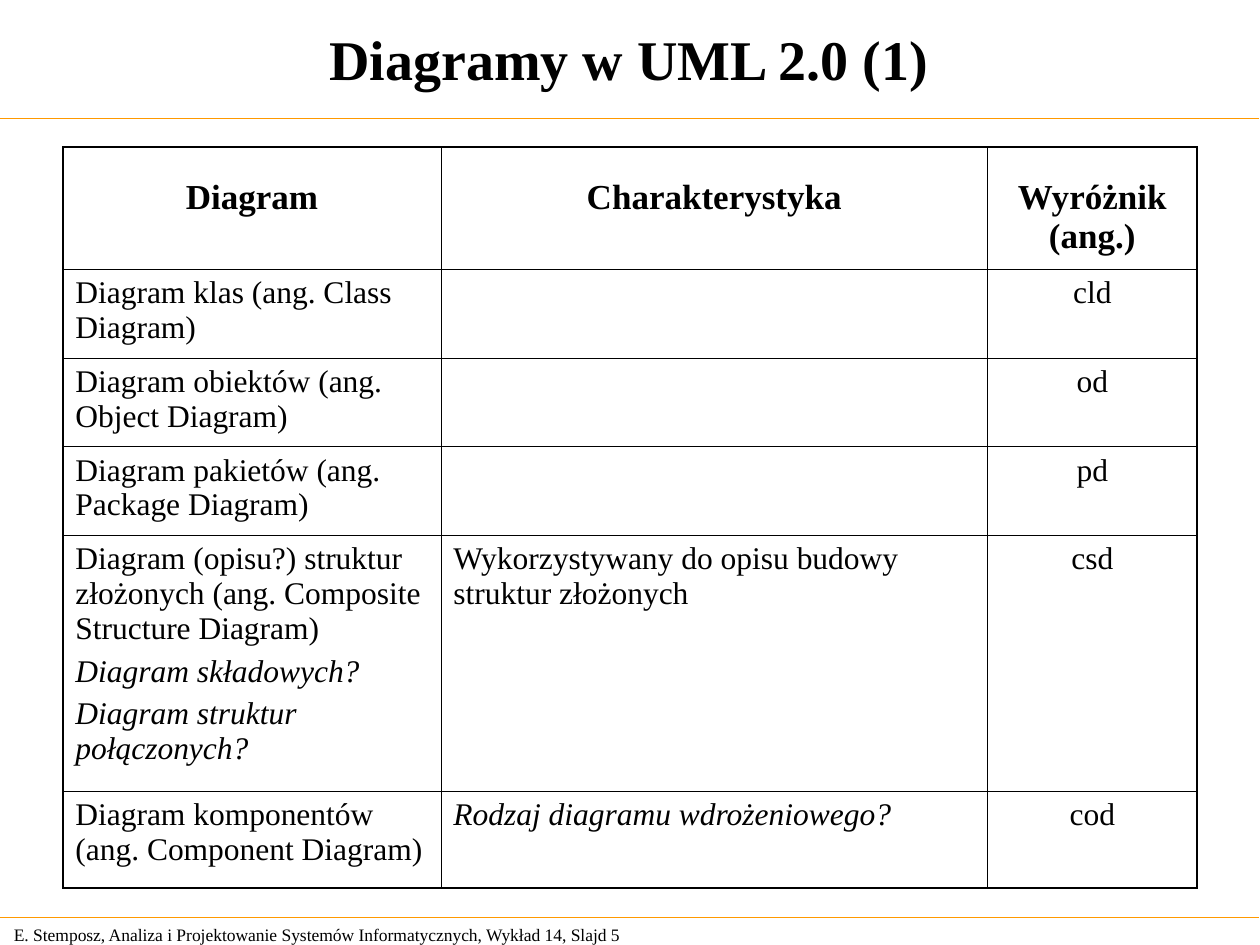
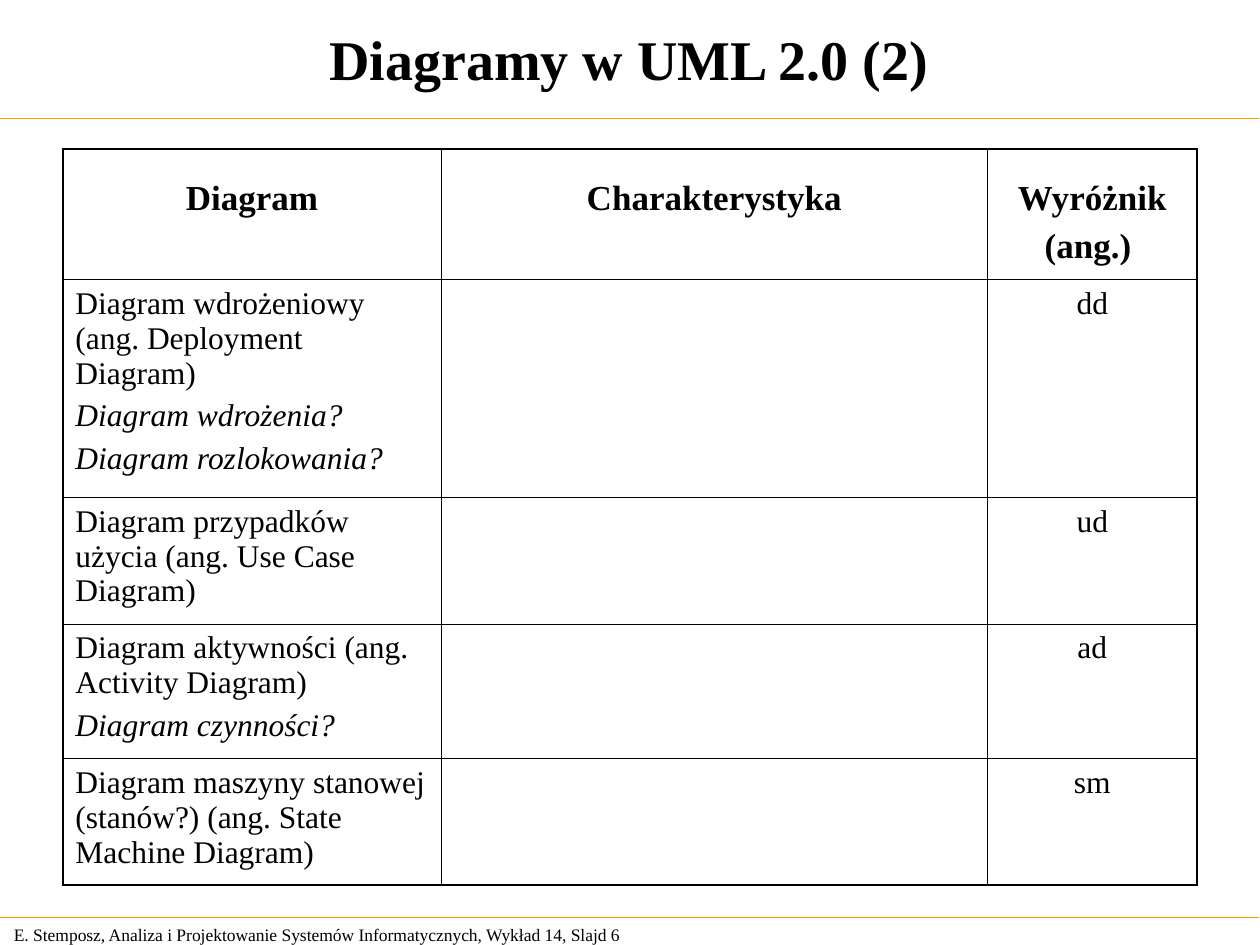
from lxml import etree
from pptx import Presentation
from pptx.dml.color import RGBColor
from pptx.enum.shapes import MSO_CONNECTOR
from pptx.enum.text import MSO_ANCHOR, PP_ALIGN
from pptx.oxml.ns import qn
from pptx.util import Cm, Pt

BLACK = RGBColor(0x00, 0x00, 0x00)
ORANGE = RGBColor(0xFF, 0x99, 0x00)
FONT = "Times New Roman"
LEFT, CENTER = PP_ALIGN.LEFT, PP_ALIGN.CENTER
MIDDLE = MSO_ANCHOR.MIDDLE
STRAIGHT = MSO_CONNECTOR.STRAIGHT

OUTER_BORDER, INNER_BORDER = Pt(1.08), Pt(0.45)
COLUMN_WIDTHS = [7.62, 11.02, 4.22]
COLUMN_ALIGNMENTS = [LEFT, LEFT, CENTER]
FOOTER = "E. Stemposz, Analiza i Projektowanie Systemów Informatycznych, Wykład 14, Slajd {}"

# Each slide: table top, row heights, rows of cells; a line break starts a paragraph
SLIDES = [
    (2.97, [2.46, 1.78, 1.78, 1.78, 5.16, 1.96], [
        ("Diagram", "Charakterystyka", "Wyróżnik (ang.)"),
        ("Diagram klas (ang. Class Diagram)", "", "cld"),
        ("Diagram obiektów (ang. Object Diagram)", "", "od"),
        ("Diagram pakietów (ang. Package Diagram)", "", "pd"),
        ("Diagram (opisu?) struktur złożonych (ang. Composite Structure Diagram)\n"
         "Diagram składowych?\nDiagram struktur połączonych?",
         "Wykorzystywany do opisu budowy struktur złożonych", "csd"),
        ("Diagram komponentów (ang. Component Diagram)",
         "Rodzaj diagramu wdrożeniowego?", "cod"),
    ]),
    (3.0, [2.64, 4.39, 2.54, 2.72, 2.54], [
        ("Diagram", "Charakterystyka", "Wyróżnik\n(ang.) "),
        ("Diagram wdrożeniowy (ang. Deployment Diagram)\n"
         "Diagram wdrożenia?\nDiagram rozlokowania?", "", "dd"),
        ("Diagram przypadków użycia (ang. Use Case Diagram)", "", "ud"),
        ("Diagram aktywności (ang. Activity Diagram)\nDiagram czynności?", "", "ad"),
        ("Diagram maszyny stanowej (stanów?) (ang. State Machine Diagram)", "", "sm"),
    ]),
]


def write_text(text_frame, text, size, alignment, bold=False, space_before=0):
    """Write one paragraph per line; lines ending with a question mark are italic."""
    text_frame.word_wrap = True
    text_frame.text = text
    for index, paragraph in enumerate(text_frame.paragraphs):
        paragraph.alignment = alignment
        paragraph.space_before = Pt(space_before if index else 0)
        font = paragraph.font
        font.name, font.size, font.bold = FONT, Pt(size), bold
        font.italic = paragraph.text.endswith("?")
        font.color.rgb = BLACK


def add_border(cell, side, width):
    line = etree.SubElement(cell._tc.get_or_add_tcPr(), qn(f"a:ln{side}"), w=str(width))
    fill = etree.SubElement(line, qn("a:solidFill"))
    etree.SubElement(fill, qn("a:srgbClr"), val=str(BLACK))


presentation = Presentation()
presentation.slide_width = Cm(25.4)
presentation.slide_height = Cm(19.05)

for number, (table_top, row_heights, rows) in enumerate(SLIDES, start=1):
    slide = presentation.slides.add_slide(presentation.slide_layouts[6])

    # Footer and title
    footer = slide.shapes.add_textbox(Cm(0.03), Cm(18.49), Cm(13.31), Cm(0.69))
    title = slide.shapes.add_textbox(Cm(0), Cm(0), Cm(25.37), Cm(2.34))
    footer.text_frame.vertical_anchor = title.text_frame.vertical_anchor = MIDDLE
    write_text(footer.text_frame, FOOTER.format(number + 4), 10, LEFT)
    write_text(title.text_frame, f"Diagramy w UML 2.0 ({number})", 32, CENTER, bold=True)

    # Rules under the title and above the footer
    for rule_top in (2.39, 18.49):
        rule = slide.shapes.add_connector(
            STRAIGHT, Cm(-0.03), Cm(rule_top), Cm(25.37), Cm(rule_top))
        rule.line.color.rgb = ORANGE
        rule.line.width = Pt(0.75)
        etree.SubElement(rule._element.spPr, qn("a:effectLst"))

    # Table of diagrams
    table = slide.shapes.add_table(
        len(rows), len(COLUMN_WIDTHS), Cm(1.27), Cm(table_top),
        Cm(sum(COLUMN_WIDTHS)), Cm(sum(row_heights))).table
    table.first_row = table.horz_banding = False
    for column, width in zip(table.columns, COLUMN_WIDTHS):
        column.width = Cm(width)
    for row, height in zip(table.rows, row_heights):
        row.height = Cm(height)

    last_row, last_column = len(rows) - 1, len(COLUMN_WIDTHS) - 1
    for row_index, texts in enumerate(rows):
        for column_index, text in enumerate(texts):
            cell = table.cell(row_index, column_index)
            is_header = row_index == 0
            cell.margin_left = cell.margin_right = Cm(0.25)
            cell.margin_top = Cm(0.62 if is_header else 0.13)
            cell.margin_bottom = Cm(0.13)
            if is_header:
                write_text(cell.text_frame, text, 20, CENTER, bold=True, space_before=5)
            else:
                write_text(cell.text_frame, text, 18, COLUMN_ALIGNMENTS[column_index],
                           space_before=4.5)
            outer_sides = {"L": column_index == 0, "R": column_index == last_column,
                           "T": is_header, "B": row_index == last_row}
            for side, is_outer in outer_sides.items():
                add_border(cell, side, OUTER_BORDER if is_outer else INNER_BORDER)
            cell.fill.background()

presentation.save("out.pptx")
